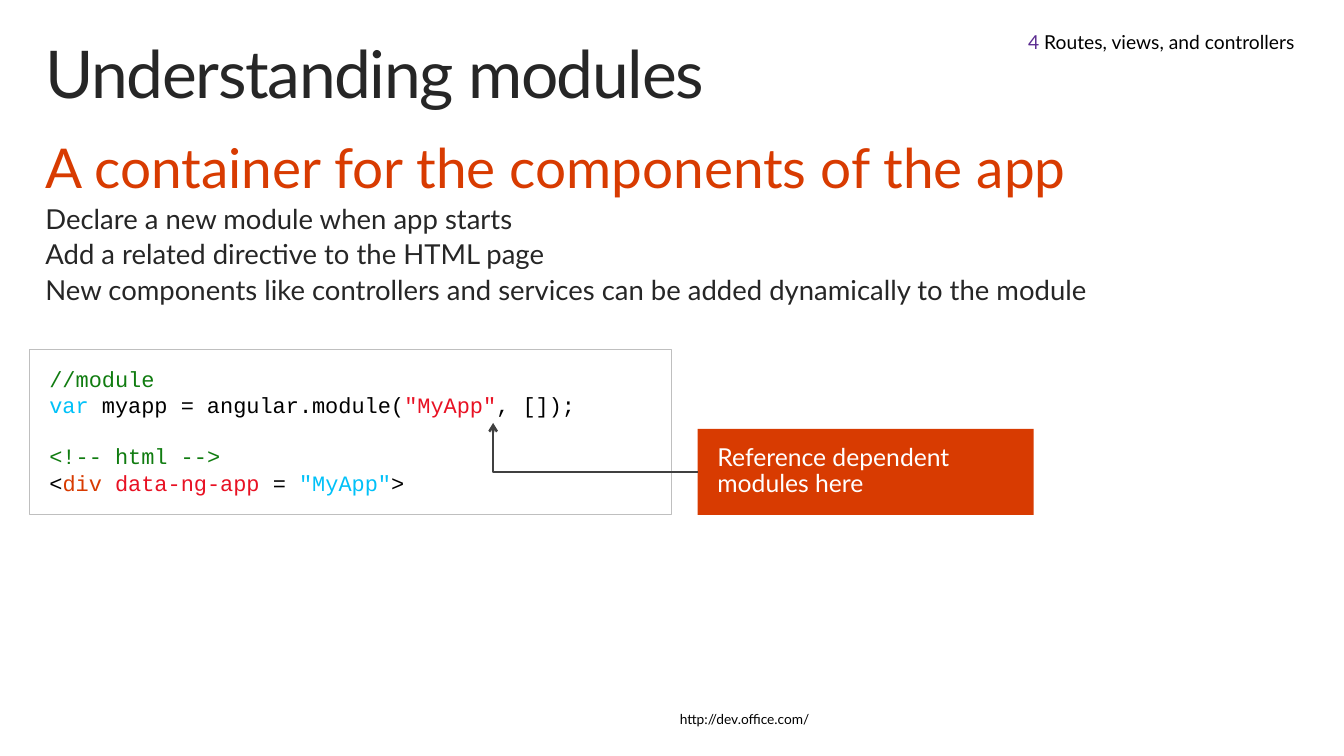
from lxml import etree
from pptx import Presentation
from pptx import util as u
from pptx.dml.color import RGBColor
from pptx.enum import shapes, text
from pptx.oxml import ns

BLACK = RGBColor(0x00, 0x00, 0x00)
WHITE = RGBColor(0xFF, 0xFF, 0xFF)
CHARCOAL = RGBColor(0x26, 0x26, 0x26)
ARROW_GRAY = RGBColor(0x40, 0x40, 0x40)
BORDER_GRAY = RGBColor(0xBF, 0xBF, 0xBF)
ORANGE = RGBColor(0xD8, 0x3B, 0x01)
GREEN = RGBColor(0x10, 0x7C, 0x10)
CYAN = RGBColor(0x00, 0xC1, 0xF8)
RED = RGBColor(0xE8, 0x11, 0x23)
PURPLE = RGBColor(0x5C, 0x2D, 0x91)

SANS = "Lato"
MONO = "Courier New"
LEFT = text.PP_ALIGN.LEFT

CODE_LINES = [
    [("//module", GREEN)],
    [("var ", CYAN), ("myapp = angular.module(", BLACK),
     ('"MyApp"', RED), (", []);", BLACK)],
    [("<!-- html -->", GREEN)],
    [("<", BLACK), ("div ", ORANGE), ("data-ng-app ", RED),
     ("= ", BLACK), ('"MyApp"', CYAN), (">", BLACK)],
]
POINTS = [
    "Declare a new module when app starts",
    "Add a related directive to the HTML page",
    "New components like controllers and services can be added "
    "dynamically to the module",
]


def prepare_frame(shape, side, edge, anchor=text.MSO_ANCHOR.TOP, wrap=True):
    frame = shape.text_frame
    frame.margin_left = frame.margin_right = u.Inches(side)
    frame.margin_top = frame.margin_bottom = u.Inches(edge)
    frame.vertical_anchor = anchor
    frame.auto_size = text.MSO_AUTO_SIZE.NONE
    frame.word_wrap = wrap
    return frame


def write_paragraph(paragraph, parts, size, font=SANS, spacing=0.9,
                    before=0, align=LEFT):
    paragraph.alignment = align
    paragraph.line_spacing = spacing
    paragraph.space_before = u.Pt(before)
    for words, color in parts:
        run = paragraph.add_run()
        run.text = words
        run.font.name = font
        run.font.size = u.Pt(size)
        run.font.color.rgb = color


def add_text_box(slide, box):
    return slide.shapes.add_textbox(*map(u.Inches, box))


def add_rectangle(slide, box):
    rectangle = slide.shapes.add_shape(
        shapes.MSO_SHAPE.RECTANGLE, *map(u.Inches, box))
    rectangle.shadow.inherit = False
    return rectangle


def place_title(slide, box):
    title = slide.shapes.title
    title.left, title.top, title.width, title.height = map(u.Inches, box)
    frame = prepare_frame(title, 0.16, 0.1)
    paragraph = frame.paragraphs[0]
    write_paragraph(paragraph, [("Understanding modules", CHARCOAL)], 48)
    paragraph.runs[0].font._element.set("spc", "-100")


def add_chapter_label(slide, box):
    frame = prepare_frame(add_text_box(slide, box), 0.1, 0.05,
                          text.MSO_ANCHOR.MIDDLE)
    frame.margin_right = u.Inches(0.2)
    write_paragraph(
        frame.paragraphs[0],
        [("4", PURPLE), (" Routes, views, and controllers", BLACK)],
        14, spacing=1.0, align=text.PP_ALIGN.RIGHT)


def add_body(slide, box):
    frame = prepare_frame(add_text_box(slide, box), 0.16, 0.1)
    write_paragraph(frame.paragraphs[0],
                    [("A container for the components of the app", ORANGE)], 40)
    for point in POINTS:
        write_paragraph(frame.add_paragraph(), [(point, CHARCOAL)], 20, before=4)


def add_code_panel(slide, box):
    panel = add_rectangle(slide, box)
    panel.fill.background()
    panel.line.color.rgb = BORDER_GRAY
    panel.line.width = u.Pt(0.75)
    frame = prepare_frame(panel, 0.2, 0.16)
    for index, parts in enumerate(CODE_LINES):
        paragraph = frame.add_paragraph() if index else frame.paragraphs[0]
        write_paragraph(paragraph, parts, 16, MONO, 1.0,
                        before=18 if index == 2 else 0)


def add_callout(slide, box, target):
    callout = add_rectangle(slide, box)
    callout.fill.solid()
    callout.fill.fore_color.rgb = ORANGE
    callout.line.fill.background()
    frame = prepare_frame(callout, 0.2, 0.16)
    write_paragraph(frame.paragraphs[0],
                    [("Reference dependent modules here", WHITE)], 18)

    left, top, _, height = box
    target_x, target_y = target
    middle = top + height / 2
    builder = slide.shapes.build_freeform(u.Inches(left), u.Inches(middle))
    corners = [(target_x, middle), (target_x, target_y)]
    builder.add_line_segments(
        [(u.Inches(x), u.Inches(y)) for x, y in corners], close=False)
    arrow = builder.convert_to_shape()
    arrow.shadow.inherit = False
    arrow.fill.background()
    arrow.line.color.rgb = ARROW_GRAY
    arrow.line.width = u.Pt(1.75)
    etree.SubElement(arrow.line._get_or_add_ln(), ns.qn("a:tailEnd"), type="arrow")


def add_footer(slide, box):
    frame = prepare_frame(add_text_box(slide, box), 0.16, 0.1, wrap=False)
    write_paragraph(frame.paragraphs[0], [("http://dev.office.com/", BLACK)], 10)


def main():
    presentation = Presentation()
    presentation.slide_width = u.Inches(13.6)
    presentation.slide_height = u.Inches(7.65)
    slide = presentation.slides.add_slide(presentation.slide_layouts[5])
    add_footer(slide, (6.72, 7.11, 1.66, 0.35))
    place_title(slide, (0.3, 0.32, 13, 1))
    add_body(slide, (0.3, 1.33, 13, 2.21))
    add_code_panel(slide, (0.3, 3.54, 6.5, 1.67))
    add_callout(slide, (7.06, 4.34, 3.4, 0.87), target=(4.99, 4.28))
    add_chapter_label(slide, (8.71, 0.22, 4.59, 0.41))
    presentation.save("out.pptx")


if __name__ == "__main__":
    main()
